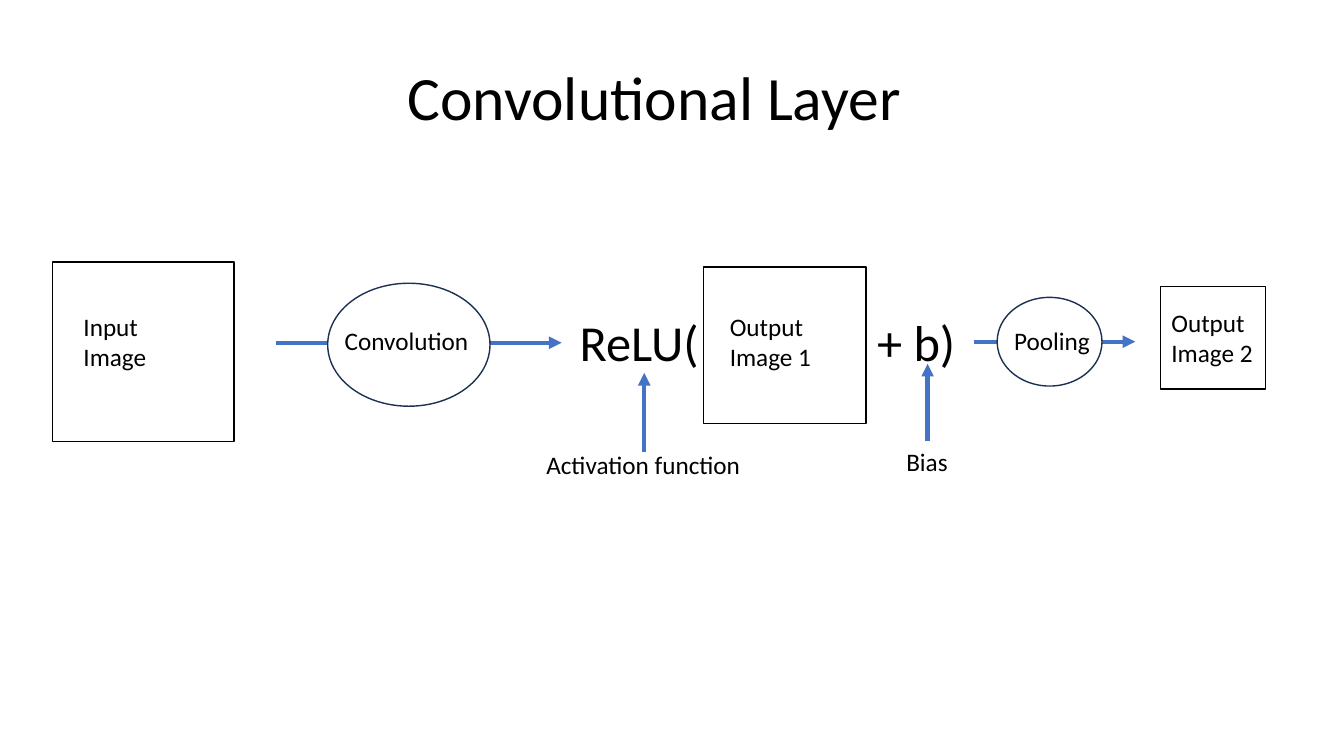
from pptx import Presentation
from pptx.dml.color import RGBColor
from pptx.enum.shapes import MSO_CONNECTOR, MSO_SHAPE
from pptx.enum.text import MSO_ANCHOR, MSO_AUTO_SIZE, PP_ALIGN
from pptx.oxml.ns import qn
from pptx.util import Inches, Pt
from lxml import etree

# Content: all lengths in inches
FONT = "Calibri"
COLORS = {"text": "000000", "frame": "000000", "arrow": "4472C4",
          "oval": "FFFFFF", "oval_line": "1C3052"}
TITLE = "Convolutional Layer"
TITLE_AREA = (0.74, 0.27, 11.5, 1.45)

ARROWS = [  # start x, start y, end x, end y
    (2.74, 3.4, 5.57, 3.4),
    (9.66, 3.39, 11.26, 3.39),
    (6.39, 4.48, 6.39, 3.7),
    (9.2, 4.38, 9.2, 3.61),
]
IMAGE_FRAMES = [  # left, top, width, height
    (0.52, 2.6, 1.8, 1.78),
    (6.98, 2.65, 1.61, 1.55),
    (11.51, 2.84, 1.04, 1.02),
]
OPERATION_OVALS = [
    (3.25, 2.81, 1.61, 1.22),
    (9.89, 2.95, 1.04, 0.88),
]
LABELS = [  # text, point size, area
    ("Input Image", 18, (0.73, 3.04, 1.23, 0.71)),
    ("Convolution", 18, (3.32, 3.18, 1.48, 0.4)),
    ("ReLU(", 36, (5.65, 3.04, 1.48, 0.71)),
    ("Output Image 1", 18, (7.14, 3.04, 1.23, 0.71)),
    ("+ b)", 36, (8.6, 3.04, 1.48, 0.71)),
    ("Pooling", 18, (9.96, 3.18, 1.47, 0.4)),
    ("Output Image 2", 18, (11.52, 3, 1.23, 0.71)),
    ("Activation function", 18, (5.32, 4.41, 2.34, 0.4)),
    ("Bias", 18, (8.89, 4.38, 0.62, 0.4)),
]


def color(name):
    return RGBColor.from_string(COLORS[name])


def inches(lengths):
    return [Inches(length) for length in lengths]


def write(para, text, size):
    para.text = text
    para.font.name = FONT
    para.font.size = Pt(size)
    para.font.color.rgb = color("text")


def add_title(page):
    title = page.shapes.title
    title.left, title.top, title.width, title.height = inches(TITLE_AREA)
    frame = title.text_frame
    frame.auto_size = MSO_AUTO_SIZE.NONE
    frame.vertical_anchor = MSO_ANCHOR.MIDDLE
    para = frame.paragraphs[0]
    write(para, TITLE, 44)
    para.alignment = PP_ALIGN.CENTER
    para.line_spacing = 0.9


def add_arrow(page, ends):
    arrow = page.shapes.add_connector(MSO_CONNECTOR.STRAIGHT, *inches(ends))
    arrow.line.color.rgb = color("arrow")
    arrow.line.width = Pt(3)
    line = arrow.line._get_or_add_ln()
    etree.SubElement(line, qn("a:tailEnd"), type="triangle")
    etree.SubElement(arrow._element.spPr, qn("a:effectLst"))


def add_outline(page, kind, area, line, fill=None):
    shape = page.shapes.add_shape(kind, *inches(area))
    shape.shadow.inherit = False
    if fill:
        shape.fill.solid()
        shape.fill.fore_color.rgb = color(fill)
    else:
        shape.fill.background()
    shape.line.color.rgb = color(line)
    shape.line.width = Pt(1)


def add_label(page, text, size, area):
    box = page.shapes.add_textbox(*inches(area))
    box.text_frame.word_wrap = True
    box.text_frame.auto_size = MSO_AUTO_SIZE.SHAPE_TO_FIT_TEXT
    write(box.text_frame.paragraphs[0], text, size)


def main():
    deck = Presentation()
    deck.slide_width, deck.slide_height = inches((13.33, 7.5))
    page = deck.slides.add_slide(deck.slide_layouts[5])
    add_title(page)

    # Arrows go first so that the ovals cover their middles
    for ends in ARROWS:
        add_arrow(page, ends)
    for area in IMAGE_FRAMES:
        add_outline(page, MSO_SHAPE.RECTANGLE, area, "frame")
    for area in OPERATION_OVALS:
        add_outline(page, MSO_SHAPE.OVAL, area, "oval_line", "oval")
    for text, size, area in LABELS:
        add_label(page, text, size, area)

    deck.save("out.pptx")


if __name__ == "__main__":
    main()
